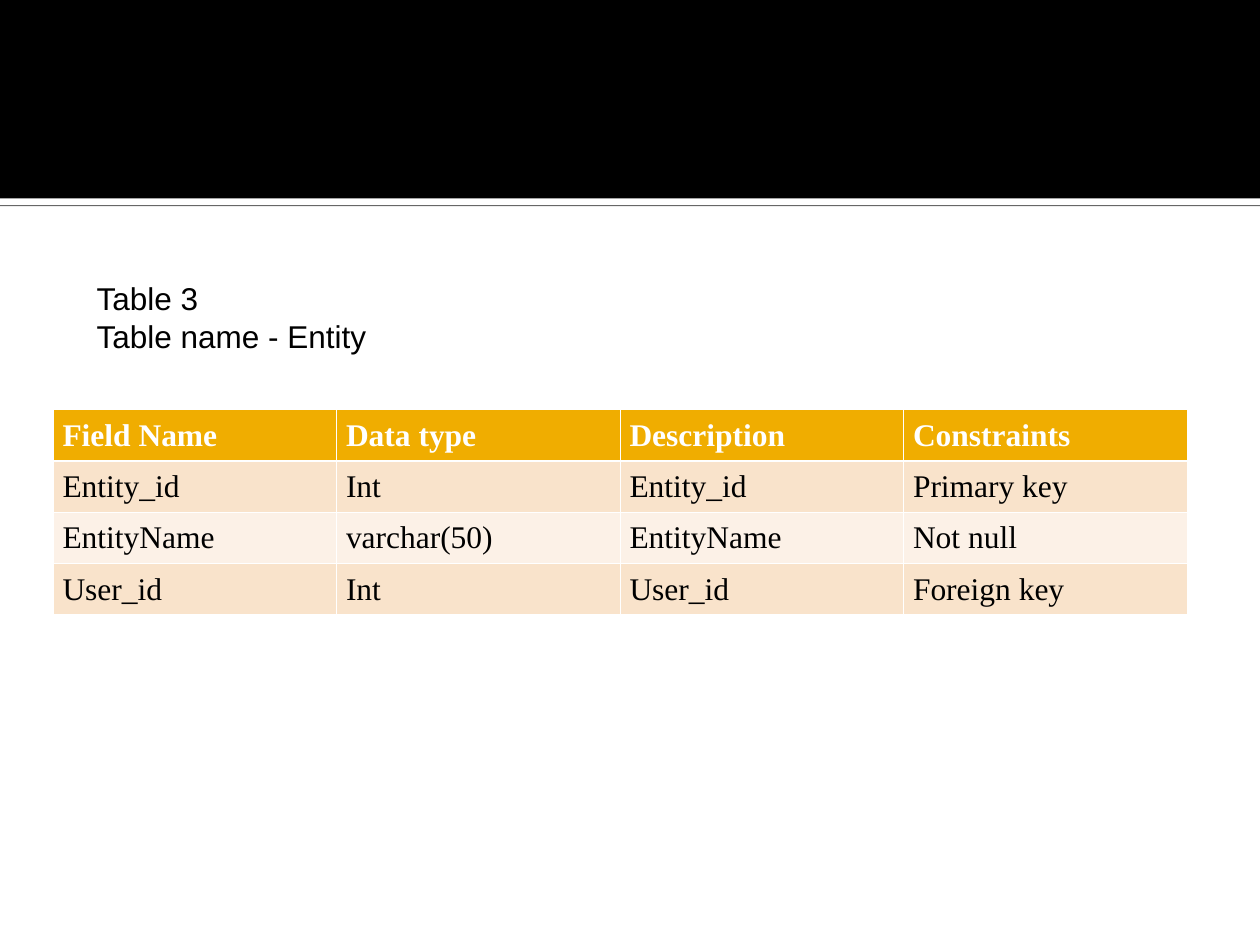
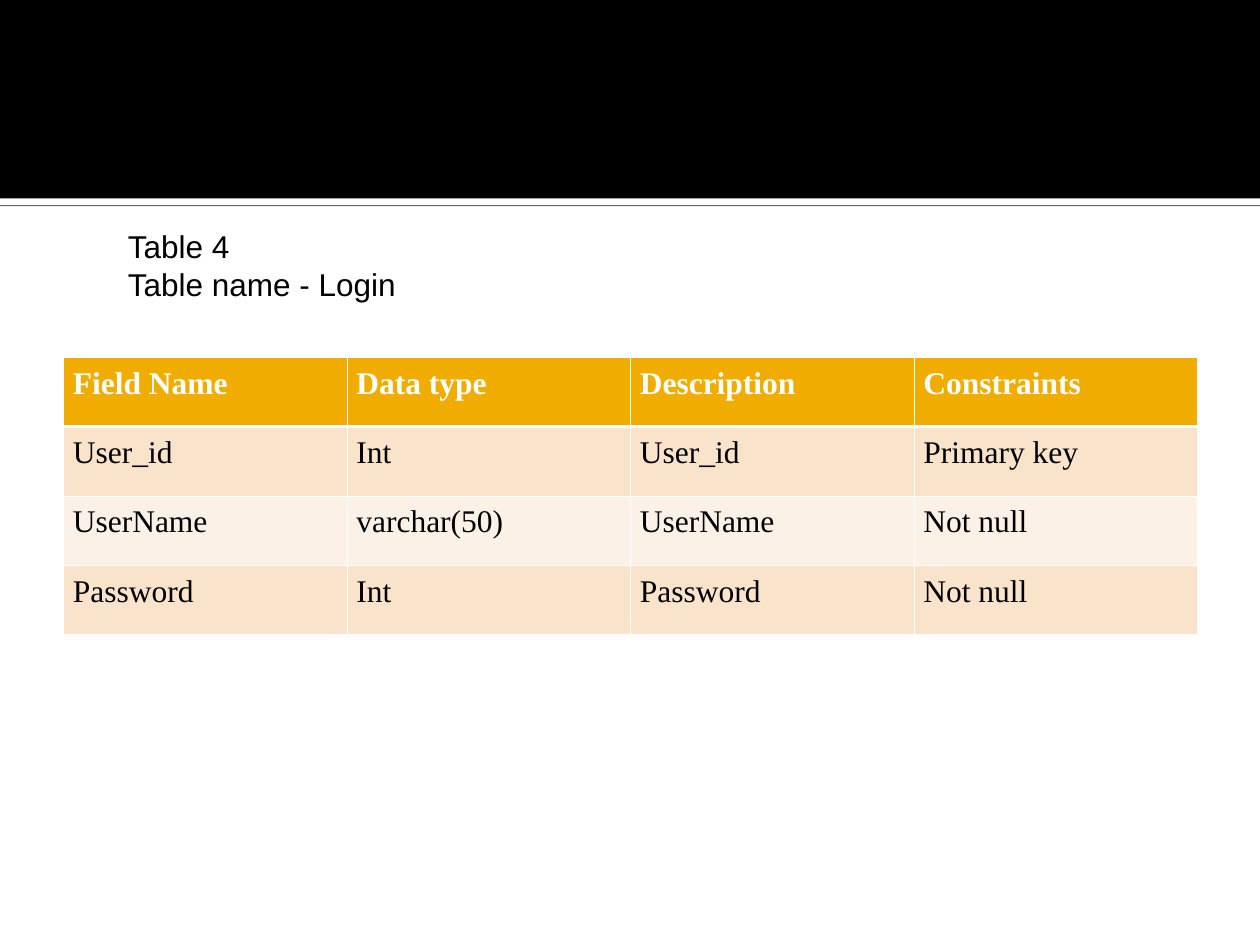
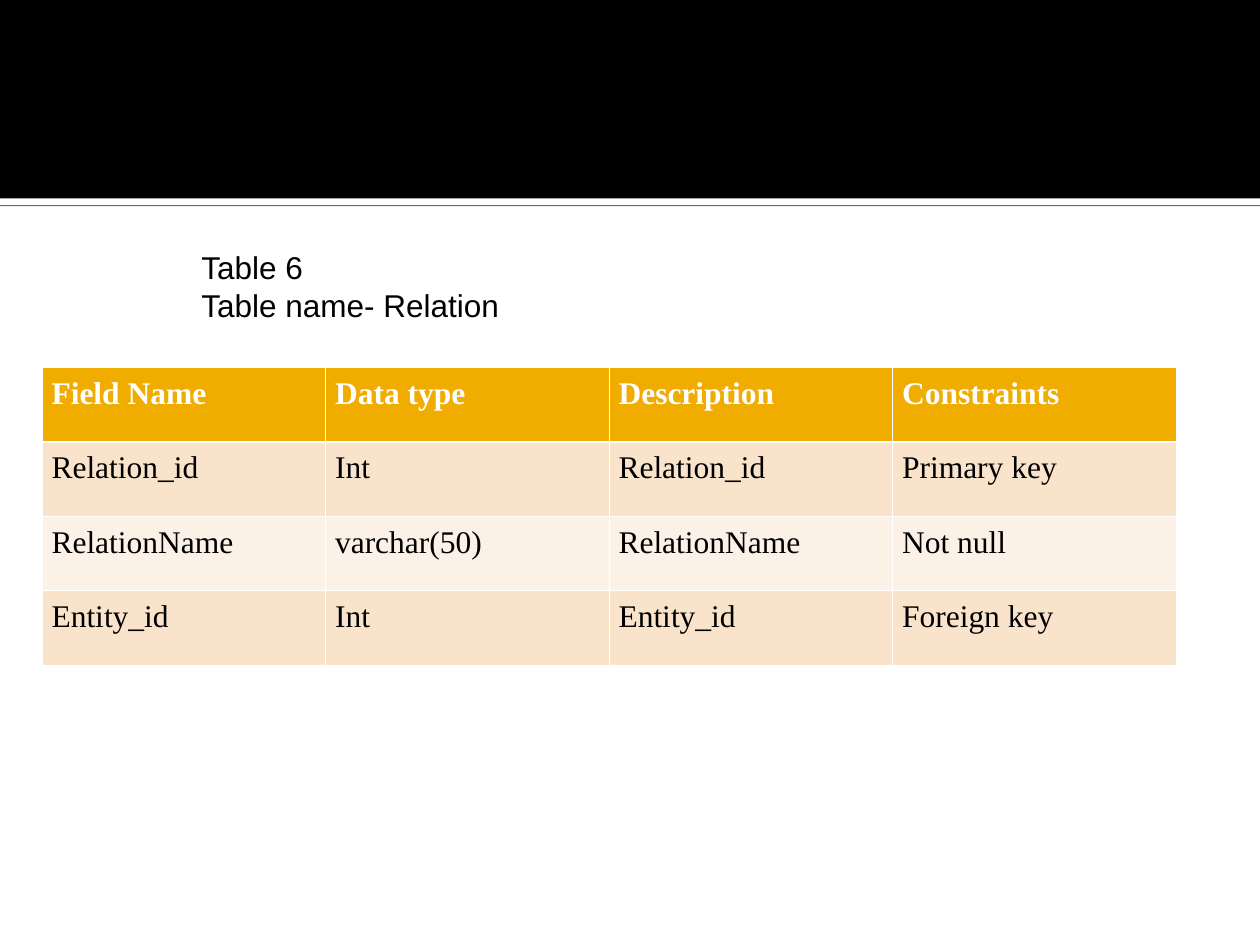
"""Build three slides that each describe one database table."""
from dataclasses import dataclass

from lxml import etree
from pptx import Presentation, util as u
from pptx.dml.color import RGBColor
from pptx.enum import shapes, text
from pptx.oxml import parse_xml
from pptx.oxml.ns import nsdecls


@dataclass(frozen=True)
class Theme:
    """Colours, fonts and sizes shared by all slides."""
    white: str = "FFFFFF"
    black: str = "000000"
    header: str = "F0AD00"
    odd_row: str = "F9E3CB"
    even_row: str = "FCF1E7"
    caption_font: str = "Arial"
    table_font: str = "Times New Roman"
    text_size: u.Length = u.Pt(18)
    line_spacing: float = 1.07
    thin_line: u.Length = u.Pt(0.45)
    thick_line: u.Length = u.Pt(1.47)


@dataclass(frozen=True)
class TableSlide:
    """Wording and placement, in centimetres, of one slide."""
    caption: tuple
    caption_box: tuple
    table_corner: tuple
    row_height: float
    fields: tuple


THEME = Theme()
SLIDE_WIDTH, SLIDE_HEIGHT = u.Cm(25.4), u.Cm(19.05)
BAND_HEIGHT, STRIP_HEIGHT = u.Cm(4), u.Cm(0.13)
TABLE_WIDTH, CAPTION_HEIGHT = u.Cm(22.86), u.Cm(1.78)
CELL_MARGIN_X, CELL_MARGIN_Y = u.Cm(0.19), u.Cm(0.13)
HEADINGS = ("Field Name", "Data type", "Description", "Constraints")
TABLE_SLIDES = (
    TableSlide(
        ("Table 3", "Table name - Entity"), (1.7, 5.51, 7.26), (1.07, 8.26), 1.03,
        (("Entity_id", "Int", "Primary key"),
         ("EntityName", "varchar(50)", "Not null"),
         ("User_id", "Int", "Foreign key"))),
    TableSlide(
        ("Table 4", "Table name - Login"), (2.33, 4.45, 8.69), (1.28, 7.2), 1.4,
        (("User_id", "Int", "Primary key"),
         ("UserName", "varchar(50)", "Not null"),
         ("Password", "Int", "Not null"))),
    TableSlide(
        ("Table 6", "Table name- Relation"), (3.81, 4.87, 7.62), (0.85, 7.41), 1.5,
        (("Relation_id", "Int", "Primary key"),
         ("RelationName", "varchar(50)", "Not null"),
         ("Entity_id", "Int", "Foreign key"))),
)


def style_font(paragraph, name, color, bold=False):
    """Set the font of a whole paragraph."""
    font = paragraph.font
    font.name, font.size, font.bold = name, THEME.text_size, bold
    font.color.rgb = RGBColor.from_string(color)


def add_bar(slide, top, height, color):
    """Add a plain bar across the slide."""
    bar = slide.shapes.add_shape(
        shapes.MSO_SHAPE.RECTANGLE, 0, top, SLIDE_WIDTH, height)
    bar.shadow.inherit = False
    bar.fill.solid()
    bar.fill.fore_color.rgb = RGBColor.from_string(color)
    bar.line.fill.background()
    return bar


def add_drop_shadow(shape):
    """Cast a sharp, thin shadow straight down from a shape."""
    effects = shape._element.spPr.find("{*}effectLst")
    effects.append(parse_xml(
        f'<a:outerShdw {nsdecls("a")} blurRad="0" dist="{u.Pt(0.8)}" dir="5400000">'
        f'<a:srgbClr val="{THEME.black}"><a:alpha val="60000"/></a:srgbClr>'
        '</a:outerShdw>'))


def add_header_band(slide):
    """Add the black band and the shadowed strip under it."""
    add_drop_shadow(add_bar(slide, BAND_HEIGHT, STRIP_HEIGHT, THEME.white))
    add_bar(slide, 0, BAND_HEIGHT, THEME.black)


def add_caption(slide, lines, box):
    """Add the table number and name above the table."""
    left, top, width = map(u.Cm, box)
    frame = slide.shapes.add_textbox(left, top, width, CAPTION_HEIGHT).text_frame
    frame.word_wrap = True
    frame.auto_size = text.MSO_AUTO_SIZE.SHAPE_TO_FIT_TEXT
    frame.text = "\n".join(lines)
    for paragraph in frame.paragraphs:
        style_font(paragraph, THEME.caption_font, THEME.black)


def set_borders(cell, row_index):
    """Draw white cell borders, thicker between header and body."""
    widths = dict.fromkeys(("lnL", "lnR", "lnT", "lnB"), THEME.thin_line)
    if row_index == 0:
        widths["lnB"] = THEME.thick_line
    elif row_index == 1:
        widths["lnT"] = THEME.thick_line
    properties = cell._tc.get_or_add_tcPr()
    for tag, width in widths.items():
        line = parse_xml(f'<a:{tag} {nsdecls("a")} w="{width}"/>')
        fill = etree.SubElement(line, "{%s}solidFill" % line.nsmap["a"])
        etree.SubElement(fill, "{%s}srgbClr" % line.nsmap["a"], val=THEME.white)
        properties.append(line)


def fill_cell(cell, content, row_index):
    """Write and style one table cell."""
    is_header = row_index == 0
    row_color = THEME.odd_row if row_index % 2 else THEME.even_row
    set_borders(cell, row_index)
    cell.fill.solid()
    cell.fill.fore_color.rgb = RGBColor.from_string(
        THEME.header if is_header else row_color)
    cell.margin_left = cell.margin_right = CELL_MARGIN_X
    cell.margin_top = cell.margin_bottom = CELL_MARGIN_Y
    cell.text = content
    paragraph = cell.text_frame.paragraphs[0]
    paragraph.alignment = text.PP_ALIGN.JUSTIFY
    paragraph.line_spacing = THEME.line_spacing
    style_font(paragraph, THEME.table_font,
               THEME.white if is_header else THEME.black, is_header)


def add_field_table(slide, fields, corner, row_height):
    """Add the table of fields, each described by its own name."""
    rows = [HEADINGS] + [(name, kind, name, rule) for name, kind, rule in fields]
    left, top = map(u.Cm, corner)
    table = slide.shapes.add_table(
        len(rows), len(HEADINGS), left, top, TABLE_WIDTH,
        u.Cm(row_height) * len(rows)).table
    table.horz_banding = False
    for row_index, row in enumerate(rows):
        for column_index, content in enumerate(row):
            fill_cell(table.cell(row_index, column_index), content, row_index)


def main():
    """Build and save the presentation."""
    presentation = Presentation()
    presentation.slide_width, presentation.slide_height = SLIDE_WIDTH, SLIDE_HEIGHT
    for content in TABLE_SLIDES:
        slide = presentation.slides.add_slide(presentation.slide_layouts[6])
        add_header_band(slide)
        add_field_table(slide, content.fields, content.table_corner, content.row_height)
        add_caption(slide, content.caption, content.caption_box)
    presentation.save("out.pptx")


if __name__ == "__main__":
    main()
